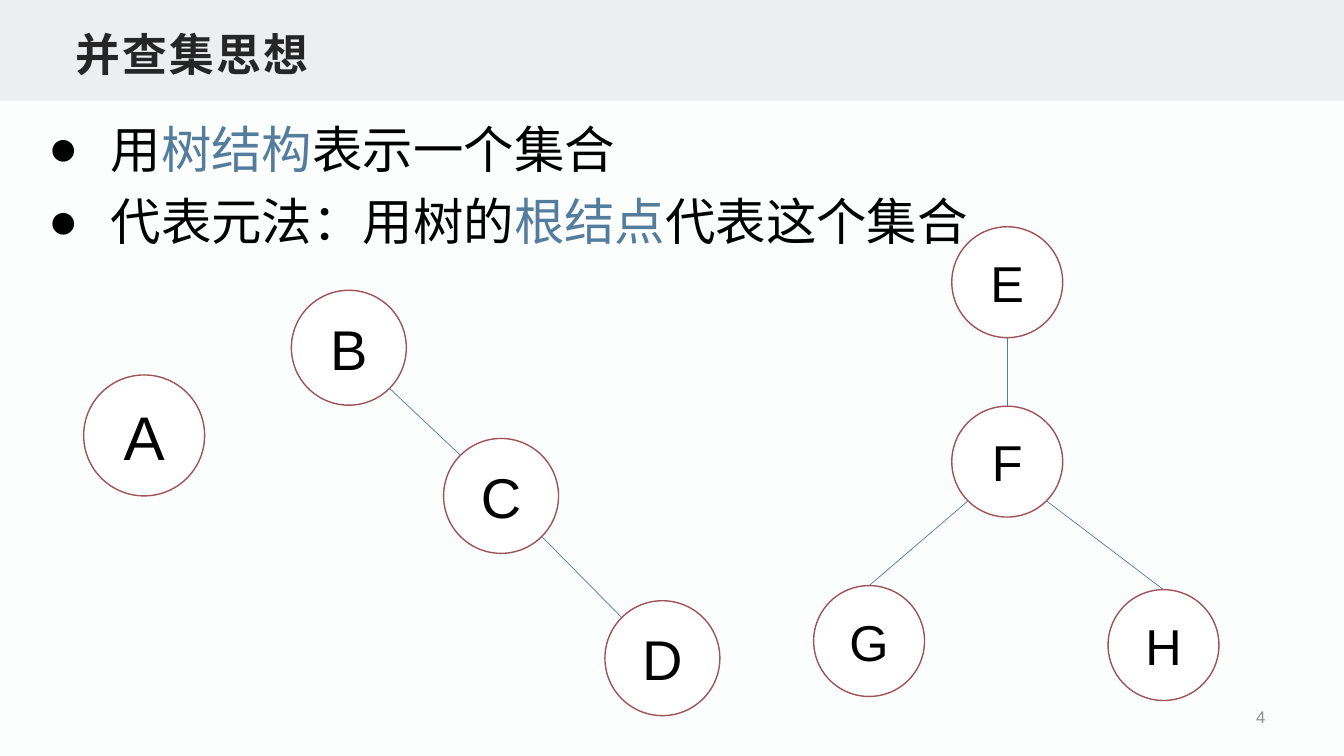
from math import sqrt
from pptx import Presentation
from pptx.dml.color import RGBColor
from pptx.enum.shapes import MSO_CONNECTOR, MSO_SHAPE
from pptx.enum.text import MSO_ANCHOR, MSO_AUTO_SIZE, PP_ALIGN
from pptx.oxml.ns import qn
from pptx.util import Pt
from lxml.etree import SubElement

PX = 9144
FONT = "Arial"
BLACK, BLUE, RED, WHITE = "000000", "547D9D", "9D5458", "FFFFFF"
TITLE = "并查集思想"
PAGE_NUMBER = "4"
BULLETS = [
    [("用", BLACK), ("树结构", BLUE), ("表示一个集合", BLACK)],
    [("代表元法：用树的", BLACK), ("根结点", BLUE), ("代表这个集合", BLACK)],
]
TREES = [
    {
        "diameter": 110, "size": 36,
        "nodes": {"E": (944, 225), "F": (944, 403), "G": (807, 581), "H": (1099, 585)},
        "edges": [("E", "bottom", "F", "top"), ("F", "bottom left", "G", "top"),
                  ("F", "bottom right", "H", "top")],
    },
    {"diameter": 120, "size": 44, "nodes": {"A": (83, 372)}, "edges": []},
    {
        "diameter": 114, "size": 40,
        "nodes": {"B": (289, 288), "C": (440, 435), "D": (600, 596)},
        "edges": [("B", "bottom right", "C", "top left"),
                  ("C", "bottom right", "D", "top left")],
    },
]
DIAGONAL = sqrt(0.5)
DIRECTIONS = {
    "top": (0, -1), "bottom": (0, 1), "top left": (-DIAGONAL, -DIAGONAL),
    "bottom left": (-DIAGONAL, DIAGONAL), "bottom right": (DIAGONAL, DIAGONAL),
}


def color(value):
    return RGBColor.from_string(value)


def emu(*lengths):
    return [round(length * PX) for length in lengths]


def style(span, size, value, bold=False):
    span.font.name = FONT
    span.font.size = Pt(size)
    span.font.bold = bold
    span.font.color.rgb = color(value)


def add_band(page):
    band = page.shapes.add_shape(MSO_SHAPE.RECTANGLE, *emu(0, 0, 1333, 100))
    band.shadow.inherit = False
    band.fill.solid()
    band.fill.fore_color.rgb = color("ECEEEF")
    band.line.fill.background()
    page.shapes.title.element.addprevious(band.element)


def format_title(title):
    title.left, title.top, title.width, title.height = emu(67, 17, 1200, 67)
    frame = title.text_frame
    frame.text = TITLE
    frame.auto_size = MSO_AUTO_SIZE.NONE
    frame.vertical_anchor = MSO_ANCHOR.BOTTOM
    frame.margin_left, frame.margin_top, frame.margin_right, frame.margin_bottom = emu(8, 4, 8, 4)
    para = frame.paragraphs[0]
    para.alignment = PP_ALIGN.LEFT
    span = para.runs[0]
    style(span, 32, "262626", True)
    span.font._element.set("spc", "150")


def add_bullets(page):
    box = page.shapes.add_textbox(*emu(38, 100, 1000, 155))
    frame = box.text_frame
    frame.word_wrap = True
    frame.auto_size = MSO_AUTO_SIZE.SHAPE_TO_FIT_TEXT
    for index, pieces in enumerate(BULLETS):
        para = frame.add_paragraph() if index else frame.paragraphs[0]
        para.line_spacing = 1.2
        for text, value in pieces:
            span = para.add_run()
            span.text = text
            style(span, 36, value)
        properties = para._p.get_or_add_pPr()
        indent = emu(62)[0]
        properties.set("marL", str(indent))
        properties.set("indent", str(-indent))
        SubElement(properties, qn("a:buFont")).set("typeface", FONT)
        SubElement(properties, qn("a:buChar")).set("char", "●")


def add_page_number(page):
    box = page.shapes.add_textbox(*emu(970, 694, 295, 35))
    frame = box.text_frame
    frame.word_wrap = True
    frame.vertical_anchor = MSO_ANCHOR.MIDDLE
    frame.text = PAGE_NUMBER
    para = frame.paragraphs[0]
    para.alignment = PP_ALIGN.RIGHT
    style(para.runs[0], 12, "8C8C8C")


def add_node(shapes, letter, corner, diameter, size):
    node = shapes.add_shape(MSO_SHAPE.OVAL, *emu(*corner, diameter, diameter))
    node.shadow.inherit = False
    node.fill.solid()
    node.fill.fore_color.rgb = color(WHITE)
    node.line.color.rgb = color(RED)
    node.line.width = Pt(1)
    node.text_frame.vertical_anchor = MSO_ANCHOR.MIDDLE
    node.text_frame.text = letter
    para = node.text_frame.paragraphs[0]
    para.alignment = PP_ALIGN.CENTER
    style(para.runs[0], size, BLACK)


def rim_point(corner, diameter, side):
    radius = diameter / 2
    return [start + radius * (1 + step) for start, step in zip(corner, DIRECTIONS[side])]


def add_edge(shapes, start, end):
    edge = shapes.add_connector(MSO_CONNECTOR.STRAIGHT, *emu(*start, *end))
    edge.line.color.rgb = color(BLUE)
    edge.line.width = Pt(0.5)
    SubElement(edge._element.spPr, qn("a:effectLst"))


def add_tree(page, tree):
    nodes, diameter = tree["nodes"], tree["diameter"]
    shapes = page.shapes.add_group_shape().shapes if tree["edges"] else page.shapes
    for letter, corner in nodes.items():
        add_node(shapes, letter, corner, diameter, tree["size"])
    for parent, parent_side, child, child_side in tree["edges"]:
        add_edge(shapes, rim_point(nodes[parent], diameter, parent_side),
                 rim_point(nodes[child], diameter, child_side))


def main():
    deck = Presentation()
    deck.slide_width, deck.slide_height = emu(1333, 750)
    page = deck.slides.add_slide(deck.slide_layouts[5])
    page.background.fill.solid()
    page.background.fill.fore_color.rgb = color("FCFDFD")
    add_band(page)
    format_title(page.shapes.title)
    add_page_number(page)
    add_bullets(page)
    for tree in TREES:
        add_tree(page, tree)
    deck.save("out.pptx")


if __name__ == "__main__":
    main()
